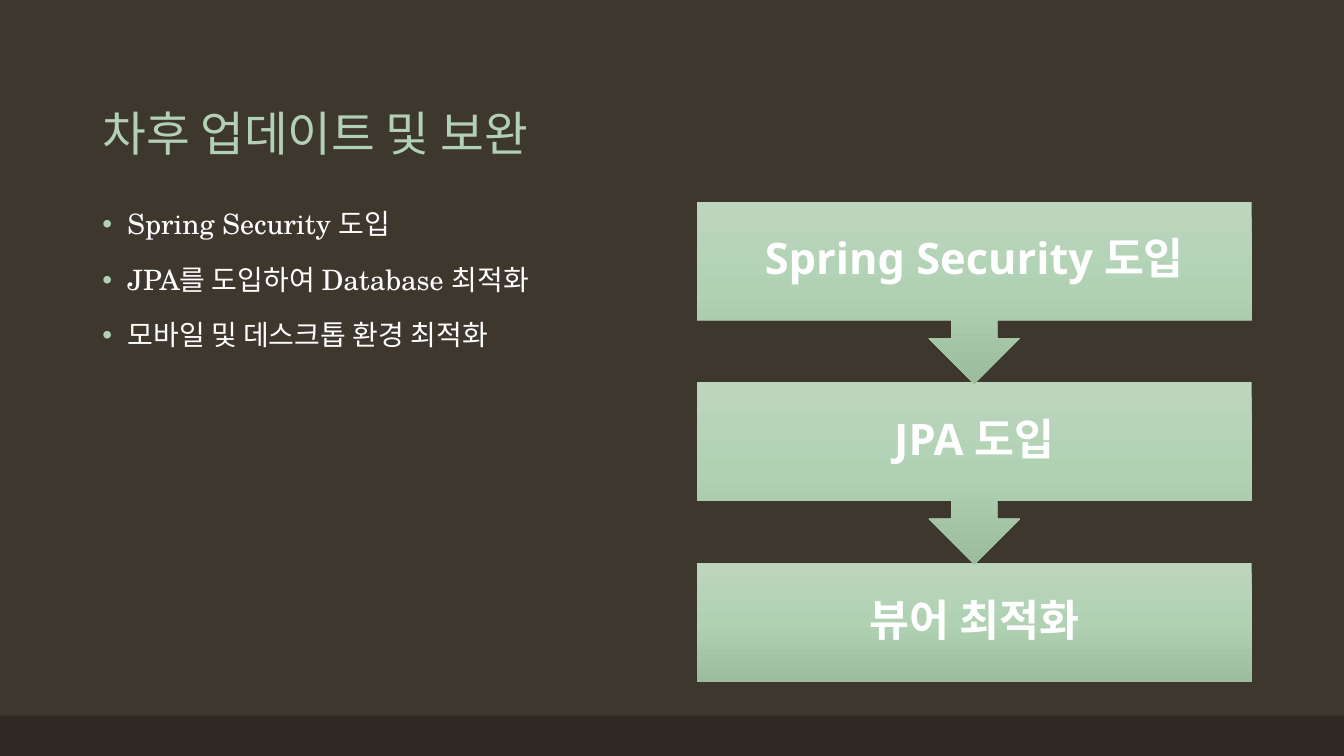
from copy import deepcopy
from dataclasses import dataclass

from lxml.etree import SubElement
from pptx import Presentation
from pptx.dml.color import RGBColor
from pptx.enum.shapes import MSO_SHAPE
from pptx.enum.text import MSO_ANCHOR, PP_ALIGN
from pptx.oxml.ns import qn
from pptx.util import Inches, Pt

# Grid of square cells covering the slide
COLUMNS, ROWS = 160, 90
SLIDE_WIDTH, SLIDE_HEIGHT = Inches(13.333), Inches(7.5)

BACKGROUND, FOOTER, WHITE, MINT = "3D372E", "2E2923", "FFFFFF", "B2D0B4"
STEP_GRADIENT = [(0, "BCD6BE"), (0.5, "B0D2B3"), (1, "9BBC9D")]
SERIF, SANS = "TeX Gyre Schola", "Noto Sans"


@dataclass
class Area:
    column: float
    row: float
    columns: float
    rows: float

    def emu(self) -> tuple[int, int, int, int]:
        return (
            round(SLIDE_WIDTH * self.column / COLUMNS),
            round(SLIDE_HEIGHT * self.row / ROWS),
            round(SLIDE_WIDTH * self.columns / COLUMNS),
            round(SLIDE_HEIGHT * self.rows / ROWS),
        )


@dataclass
class Step:
    label: str
    outline: MSO_SHAPE
    rows: float


TITLE_AREA = Area(11, 4.8, 138, 15)
PLAN_AREA = Area(11, 24.5, 60.7, 21)
FOOTER_AREA = Area(0, 85.2, 160, 4.8)
STEP_COLUMN, STEP_COLUMNS = 83, 66
FIRST_STEP_ROW, STEP_PITCH = 24, 21.5

PLANS = [
    "Spring Security 도입",
    "JPA를 도입하여 Database 최적화",
    "모바일 및 데스크톱 환경 최적화",
]
STEPS = [
    Step("Spring Security 도입", MSO_SHAPE.DOWN_ARROW_CALLOUT, 21.7),
    Step("JPA 도입", MSO_SHAPE.DOWN_ARROW_CALLOUT, 21.7),
    Step("뷰어 최적화", MSO_SHAPE.RECTANGLE, 14.2),
]


def color(code: str) -> RGBColor:
    return RGBColor.from_string(code)


def style(paragraph, size: float, face: str, code: str, bold: bool = False) -> None:
    paragraph.line_spacing = 0.9
    font = paragraph.font
    font.size, font.name, font.bold = Pt(size), face, bold
    font.color.rgb = color(code)


def add_block(slide, outline: MSO_SHAPE, area: Area):
    block = slide.shapes.add_shape(outline, *area.emu())
    block.shadow.inherit = False
    block.line.fill.background()
    return block


def add_text_area(slide, area: Area, anchor: MSO_ANCHOR):
    frame = slide.shapes.add_textbox(*area.emu()).text_frame
    frame.word_wrap = True
    frame.vertical_anchor = anchor
    return frame


def add_bullet(paragraph) -> None:
    properties = paragraph._p.get_or_add_pPr()
    indent = Inches(0.25)
    properties.set("marL", str(indent))
    properties.set("indent", str(-indent))
    bullet_color = SubElement(properties, qn("a:buClr"))
    SubElement(bullet_color, qn("a:srgbClr")).set("val", MINT)
    SubElement(properties, qn("a:buFont")).set("typeface", "Arial")
    SubElement(properties, qn("a:buChar")).set("char", "•")


def fill_gradient(block) -> None:
    block.fill.gradient()
    block.fill.gradient_angle = 270
    stop_list = block._element.spPr.find(qn("a:gradFill")).find(qn("a:gsLst"))
    stop_list.append(deepcopy(stop_list[-1]))
    for stop, (position, code) in zip(block.fill.gradient_stops, STEP_GRADIENT):
        stop.position = position
        stop.color.rgb = color(code)


def add_step(slide, index: int, step: Step) -> None:
    row = FIRST_STEP_ROW + index * STEP_PITCH
    block = add_block(slide, step.outline, Area(STEP_COLUMN, row, STEP_COLUMNS, step.rows))
    fill_gradient(block)
    frame = block.text_frame
    frame.word_wrap = True
    frame.vertical_anchor = MSO_ANCHOR.MIDDLE
    frame.margin_left = frame.margin_right = Inches(0.24)
    frame.margin_top = frame.margin_bottom = Inches(0.24)
    label = frame.paragraphs[0]
    label.text = step.label
    label.alignment = PP_ALIGN.CENTER
    style(label, 31, SANS, WHITE, bold=True)


def main() -> None:
    presentation = Presentation()
    presentation.slide_width, presentation.slide_height = SLIDE_WIDTH, SLIDE_HEIGHT
    slide = presentation.slides.add_slide(presentation.slide_layouts[6])

    # Background and footer band
    slide.background.fill.solid()
    slide.background.fill.fore_color.rgb = color(BACKGROUND)
    footer = add_block(slide, MSO_SHAPE.RECTANGLE, FOOTER_AREA)
    footer.fill.solid()
    footer.fill.fore_color.rgb = color(FOOTER)

    # Title
    title = add_text_area(slide, TITLE_AREA, MSO_ANCHOR.BOTTOM).paragraphs[0]
    title.text = "차후 업데이트 및 보완"
    style(title, 34, SERIF, MINT)

    # Planned updates
    plan_frame = add_text_area(slide, PLAN_AREA, MSO_ANCHOR.TOP)
    plan_frame.text = "\n".join(PLANS)
    for plan in plan_frame.paragraphs:
        style(plan, 20, SERIF, WHITE)
        plan.space_before = Pt(18)
        add_bullet(plan)

    # Steps, last one first so that each arrow overlaps the next box
    for index, step in reversed(list(enumerate(STEPS))):
        add_step(slide, index, step)

    presentation.save("out.pptx")


if __name__ == "__main__":
    main()
